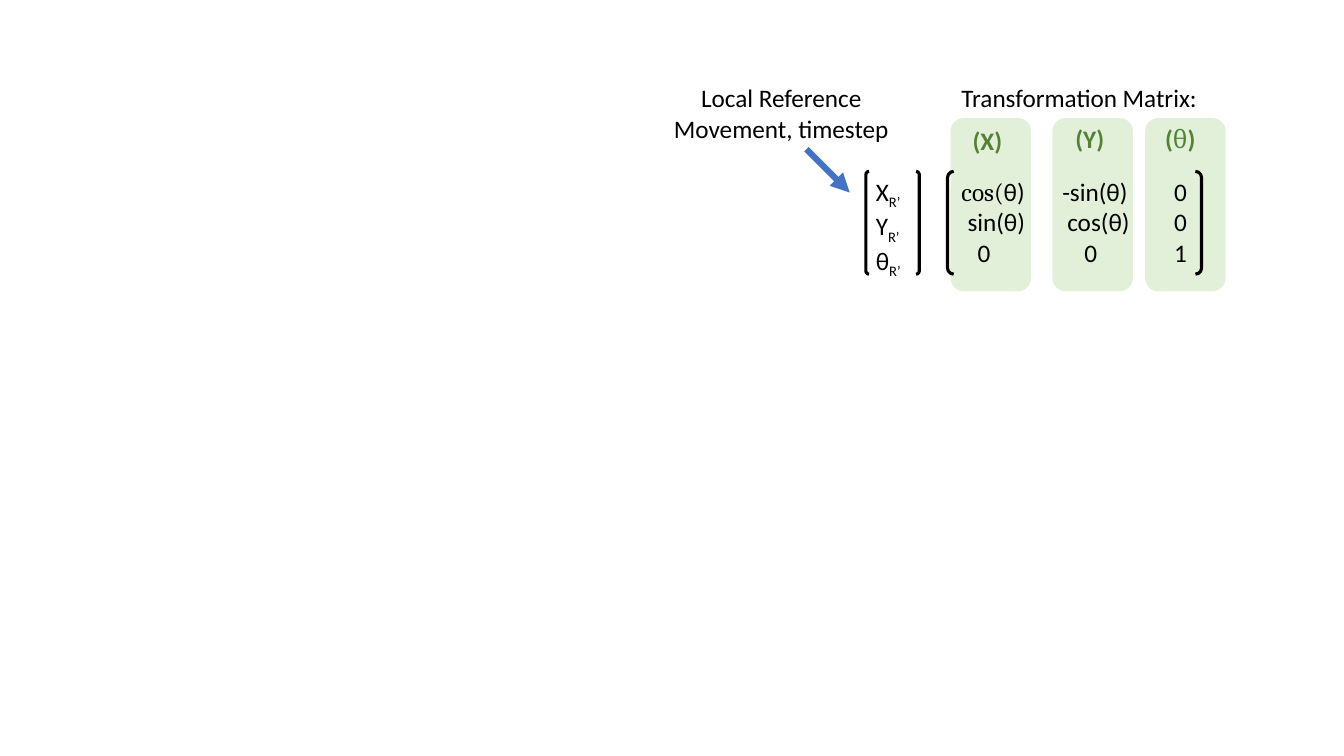
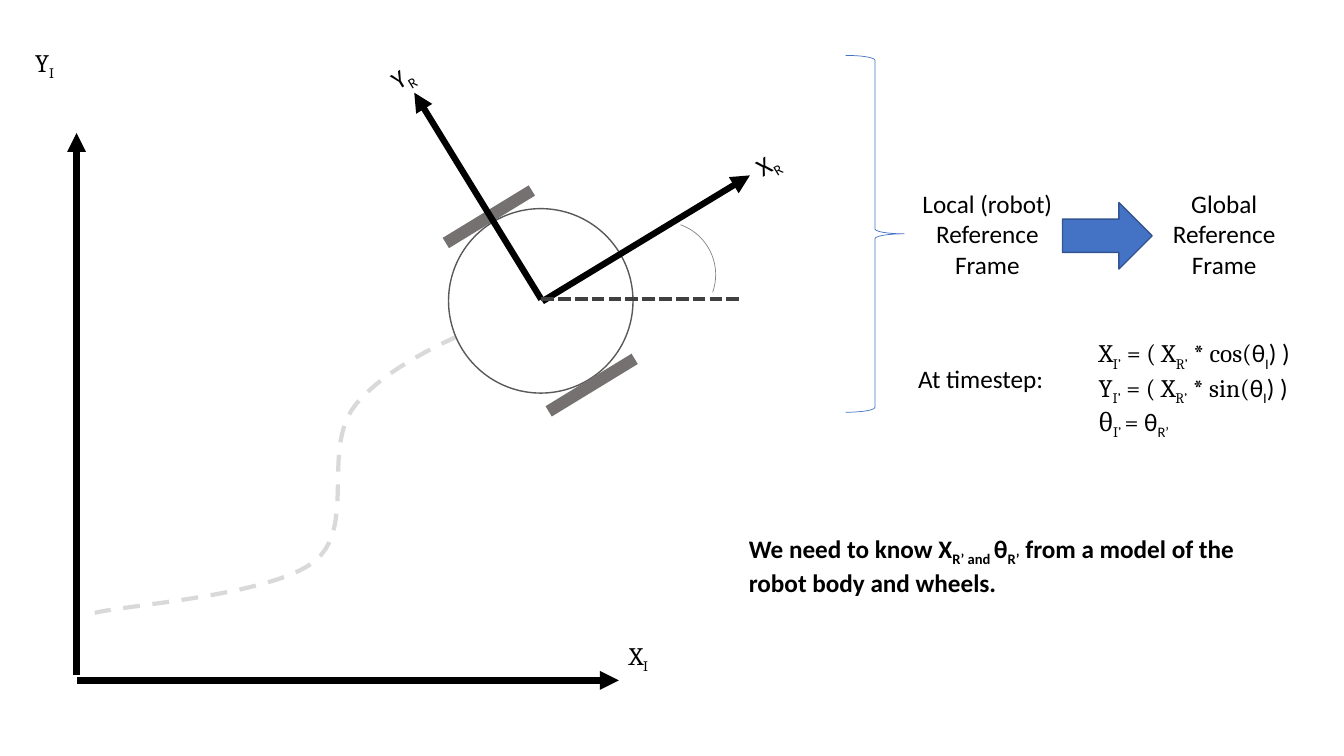
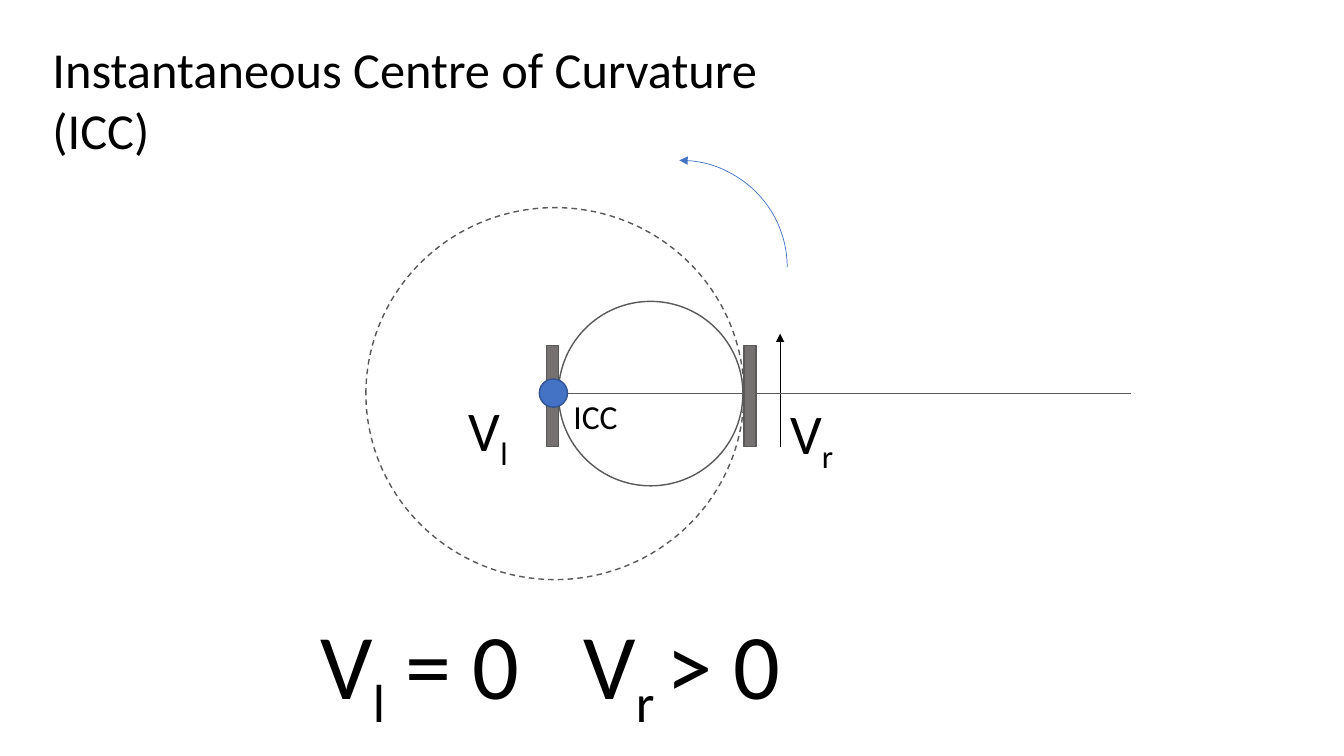
"""Build three slides on robot reference frames and the centre of curvature."""
from dataclasses import dataclass
from typing import NamedTuple, Optional

from pptx import Presentation
from pptx.dml.color import RGBColor
from pptx.enum.dml import MSO_LINE
from pptx.enum.shapes import MSO_CONNECTOR, MSO_SHAPE
from pptx.enum.text import MSO_ANCHOR, MSO_AUTO_SIZE, PP_ALIGN
from pptx.oxml.xmlchemy import OxmlElement
from pptx.util import Inches, Pt

COLUMNS, ROWS = 133.33, 75
CELL = Inches(0.1)
TITLE_ONLY, BLANK = 5, 6

BLACK = RGBColor(0x00, 0x00, 0x00)
WHITE = RGBColor(0xFF, 0xFF, 0xFF)
BLUE = RGBColor(0x44, 0x72, 0xC4)
DARK_BLUE = RGBColor(0x32, 0x54, 0x91)
PALE_GREEN = RGBColor(0xE2, 0xF0, 0xD9)
GREEN = RGBColor(0x54, 0x82, 0x35)
WHEEL_GREY = RGBColor(0x76, 0x71, 0x71)
OUTLINE_GREY = RGBColor(0x59, 0x59, 0x59)
DASH_GREY = RGBColor(0x40, 0x40, 0x40)
ARC_GREY = RGBColor(0x84, 0x84, 0x84)
PATH_GREY = RGBColor(0xD9, 0xD9, 0xD9)

CALIBRI, CAMBRIA = "Calibri", "Cambria"
HEADING = -31.4


class Area(NamedTuple):
    left: float
    top: float
    width: float
    height: float


class Point(NamedTuple):
    column: float
    row: float


class Span(NamedTuple):
    text: str
    font: str = CALIBRI
    lowered: bool = False
    bold: bool = False


@dataclass(frozen=True)
class Stroke:
    color: RGBColor
    width: float
    dash: Optional[MSO_LINE] = None
    head: bool = False
    tail: bool = False


@dataclass(frozen=True)
class Label:
    area: Area
    lines: tuple
    size: float = 18
    color: RGBColor = BLACK
    align: PP_ALIGN = PP_ALIGN.LEFT
    wrap: bool = False
    rotation: float = 0
    tabs: tuple = ()


@dataclass(frozen=True)
class Figure:
    kind: MSO_SHAPE
    area: Area
    fill: Optional[RGBColor] = None
    stroke: Optional[Stroke] = None
    rotation: float = 0
    adjustment: Optional[float] = None


@dataclass(frozen=True)
class MatrixColumn:
    left: float
    label_left: float
    label_top: float
    label: tuple


AXIS = Stroke(BLACK, 4.5, tail=True)
OUTLINE = Stroke(OUTLINE_GREY, 1)
BLUE_OUTLINE = Stroke(DARK_BLUE, 1)
THIN_BLUE = Stroke(BLUE, 0.5)
AXLE = Stroke(OUTLINE_GREY, 0.5)
BRACKET = Stroke(BLACK, 2.25)


def grid(cells: float) -> int:
    """Turn grid cells into slide units."""
    return round(cells * CELL)


def spans(markup: str, font: str = CALIBRI, bold: bool = False) -> tuple:
    """Split markup at bars; every second part is a subscript."""
    return tuple(Span(part, font, index % 2 == 1, bold)
                 for index, part in enumerate(markup.split("|")) if part)


def lines(*markups: str, font: str = CALIBRI, bold: bool = False) -> tuple:
    """Turn each markup into one line of spans."""
    return tuple(spans(markup, font, bold) for markup in markups)


def set_stroke(line, stroke: Stroke) -> None:
    """Format a line and its arrowheads."""
    line.color.rgb = stroke.color
    line.width = Pt(stroke.width)
    if stroke.dash is not None:
        line.dash_style = stroke.dash
    for tag, wanted in (("a:headEnd", stroke.head), ("a:tailEnd", stroke.tail)):
        if wanted:
            end = OxmlElement(tag)
            end.set("type", "triangle")
            line._get_or_add_ln().append(end)


def paint(shape, fill: Optional[RGBColor], stroke: Optional[Stroke]) -> None:
    """Set the fill and outline of a shape without a shadow."""
    shape.shadow.inherit = False
    if fill is None:
        shape.fill.background()
    else:
        shape.fill.solid()
        shape.fill.fore_color.rgb = fill
    if stroke is None:
        shape.line.fill.background()
    else:
        set_stroke(shape.line, stroke)


def draw_figure(page, figure: Figure) -> None:
    """Draw one preset shape."""
    shape = page.shapes.add_shape(figure.kind, *map(grid, figure.area))
    shape.rotation = figure.rotation
    if figure.adjustment is not None:
        shape.adjustments[0] = figure.adjustment
    paint(shape, figure.fill, figure.stroke)


def draw_line(page, start: Point, end: Point, stroke: Stroke) -> None:
    """Draw one straight connector."""
    connector = page.shapes.add_connector(
        MSO_CONNECTOR.STRAIGHT, *map(grid, (*start, *end)))
    set_stroke(connector.line, stroke)
    connector._element.spPr.append(OxmlElement("a:effectLst"))


def set_tabs(para, stops: tuple) -> None:
    """Give a paragraph left tab stops."""
    tab_list = OxmlElement("a:tabLst")
    for stop in stops:
        tab = OxmlElement("a:tab")
        tab.set("pos", str(grid(stop)))
        tab.set("algn", "l")
        tab_list.append(tab)
    para._p.get_or_add_pPr().append(tab_list)


def write(box, label: Label) -> None:
    """Fill a text shape with the lines of a label."""
    frame = box.text_frame
    frame.word_wrap = label.wrap
    frame.auto_size = MSO_AUTO_SIZE.NONE
    frame.vertical_anchor = MSO_ANCHOR.TOP
    for index, line in enumerate(label.lines):
        para = frame.add_paragraph() if index else frame.paragraphs[0]
        para.alignment = label.align
        if label.tabs:
            set_tabs(para, label.tabs[index])
        for span in line:
            run = para.add_run()
            run.text = span.text
            run.font.name = span.font
            run.font.size = Pt(label.size)
            run.font.bold = span.bold
            run.font.color.rgb = label.color
            if span.lowered:
                run._r.get_or_add_rPr().set("baseline", "-25000")


def draw_label(page, label: Label) -> None:
    """Add a text box."""
    box = page.shapes.add_textbox(*map(grid, label.area))
    box.rotation = label.rotation
    write(box, label)


def draw_title(page, label: Label) -> None:
    """Move and format the title placeholder."""
    title = page.shapes.title
    title.left, title.top, title.width, title.height = map(grid, label.area)
    write(title, label)


def draw_curve(page, start: Point, curves: tuple, stroke: Stroke) -> None:
    """Draw an open freeform through cubic curves."""
    steps = 20
    points = []
    origin = start
    for first, second, end in curves:
        for step in range(1, steps + 1):
            share = step / steps
            rest = 1 - share
            points.append(tuple(
                grid(rest ** 3 * a + 3 * rest ** 2 * share * b
                     + 3 * rest * share ** 2 * c + share ** 3 * d)
                for a, b, c, d in zip(origin, first, second, end)))
        origin = end
    builder = page.shapes.build_freeform(*map(grid, start))
    builder.add_line_segments(points, close=False)
    paint(builder.convert_to_shape(), None, stroke)


def build_matrix(page) -> None:
    """Show the transformation matrix and the local movement vector."""
    matrix_columns = (
        MatrixColumn(94.3, 95.5, 11.9, spans("(X)", bold=True)),
        MatrixColumn(104.4, 105.7, 11.7, spans("(Y)", bold=True)),
        MatrixColumn(113.6, 114.6, 11.7,
                     (Span("(", bold=True), Span("θ", CAMBRIA), Span(")", bold=True))),
    )
    for column in matrix_columns:
        draw_figure(page, Figure(MSO_SHAPE.ROUNDED_RECTANGLE,
                                 Area(column.left, 11.7, 8, 17.2), PALE_GREEN))
        draw_label(page, Label(Area(column.label_left, column.label_top, 6.5, 4),
                               (column.label,), color=GREEN, wrap=True))
    matrix = (spans("cos(", CAMBRIA) + spans("θ)\t-sin(θ)\t0"),
              *lines("\tsin(θ)\tcos(θ)\t0", "\t0\t0\t1"))
    vector = lines("X|R’", "Y|R’", "θ|R’")
    labels = (
        Label(Area(94.4, 17, 36.7, 13.1), matrix, wrap=True,
              tabs=((10, 21.1), (0.6, 10.5, 21.1), (1.6, 12.2, 21.1))),
        Label(Area(94.4, 7.7, 25.6, 4), lines("Transformation Matrix:")),
        Label(Area(85.9, 17, 5.3, 10.1), vector, wrap=True),
        Label(Area(65.4, 7.7, 24.2, 7.1),
              lines("Local Reference", "Movement, timestep"), align=PP_ALIGN.CENTER),
    )
    for label in labels:
        draw_label(page, label)
    for left, width in ((94, 25.2), (85.9, 5.3)):
        draw_figure(page, Figure(MSO_SHAPE.DOUBLE_BRACKET, Area(left, 17, width, 10.2),
                                 stroke=BRACKET, adjustment=0.06))
    draw_line(page, Point(80, 14.8), Point(84.3, 19.1), Stroke(BLUE, 4.5, tail=True))


def build_frames(page) -> None:
    """Show the robot frame inside the global frame."""
    draw_curve(page, Point(53.4, 30), (
        (Point(46.2, 32.9), Point(39.1, 35.7), Point(35.4, 40)),
        (Point(31.7, 44.3), Point(35.5, 52.2), Point(31.2, 55.7)),
        (Point(26.9, 59.1), Point(12.6, 60), Point(9.4, 60.8)),
    ), Stroke(PATH_GREY, 3, MSO_LINE.DASH))
    draw_figure(page, Figure(MSO_SHAPE.OVAL, Area(44.5, 20.7, 18.3, 18.3), WHITE, OUTLINE))
    for left, top in ((47.9, 16.5), (58.1, 33.2)):
        draw_figure(page, Figure(MSO_SHAPE.RECTANGLE, Area(left, top, 1.2, 10),
                                 WHEEL_GREY, rotation=HEADING - 90))
    for start, end in (
        (Point(53.8, 29.9), Point(74.4, 17.4)),
        (Point(53.7, 29.7), Point(41.1, 9.2)),
        (Point(7.6, 67.5), Point(61.4, 67.5)),
        (Point(7.6, 67), Point(7.6, 13.2)),
    ):
        draw_line(page, start, end, AXIS)
    draw_line(page, Point(53.7, 29.7), Point(73.3, 29.7),
              Stroke(DASH_GREY, 3, MSO_LINE.SQUARE_DOT))
    for figure in (
        Figure(MSO_SHAPE.RIGHT_BRACE, Area(83.9, 5.5, 5.8, 35.4), stroke=THIN_BLUE),
        Figure(MSO_SHAPE.ARC, Area(60.5, 22, 10.5, 10.5),
               stroke=Stroke(ARC_GREY, 0.5), rotation=19.5),
        Figure(MSO_SHAPE.RIGHT_ARROW, Area(105.4, 20.1, 8.9, 6.6), BLUE, BLUE_OUTLINE),
    ):
        draw_figure(page, figure)
    equations = (
        *(spans(f"{axis}|I’| = ( X|R’| * {function}(" if axis == "X"
                else f"{axis}|I’| = ( X|R’| * {function}(", CAMBRIA) + spans("θ|I|) )")
          for axis, function in (("X", "cos"), ("Y", "sin"))),
        spans("θ|I’ |= ", CAMBRIA) + spans("θ|R’"),
    )
    need = lines("We need to know X|R’ and |θ|R’| from a model of the robot body and wheels.",
                 bold=True)
    labels = (
        Label(Area(74, 14.1, 4.6, 4), lines("X|R"), wrap=True, rotation=HEADING),
        Label(Area(37.8, 5.4, 4.6, 4), lines("Y|R"), wrap=True, rotation=HEADING),
        Label(Area(61.4, 63, 10.4, 9), lines("X|I", font=CAMBRIA), wrap=True),
        Label(Area(2.5, 4.2, 10.4, 9), lines("Y|I", font=CAMBRIA), wrap=True),
        Label(Area(90.4, 18.2, 15.1, 10.1),
              lines("Local (robot)", "Reference", "Frame"), align=PP_ALIGN.CENTER),
        Label(Area(115.3, 18.2, 12.3, 10.1),
              lines("Global", "Reference", "Frame"), align=PP_ALIGN.CENTER),
        Label(Area(73.3, 52.4, 51.2, 7.1), need, wrap=True),
        Label(Area(108, 33, 23.5, 13.1), equations, wrap=True),
        Label(Area(90.1, 35.6, 14.6, 4), lines("At timestep:")),
    )
    for label in labels:
        draw_label(page, label)


def build_curvature(page) -> None:
    """Show the robot turning about its left wheel."""
    draw_title(page, Label(Area(4.2, 3.3, 82.6, 13.2),
                           lines("Instantaneous Centre of Curvature (ICC)"),
                           size=36, wrap=True))
    draw_line(page, Point(77.4, 44.3), Point(77.4, 33.1), Stroke(BLACK, 0.5, tail=True))
    draw_line(page, Point(112.2, 39), Point(53.5, 39), AXLE)
    draw_figure(page, Figure(MSO_SHAPE.OVAL, Area(55.4, 29.9, 18.3, 18.3), WHITE, OUTLINE))
    for left in (54.2, 73.8):
        draw_figure(page, Figure(MSO_SHAPE.RECTANGLE, Area(left, 34.3, 1.2, 10),
                                 WHEEL_GREY, OUTLINE))
    draw_line(page, Point(73.8, 39), Point(55.4, 39), AXLE)
    for figure in (
        Figure(MSO_SHAPE.OVAL, Area(36.3, 20.6, 37.5, 36.9),
               stroke=Stroke(OUTLINE_GREY, 1, MSO_LINE.DASH)),
        Figure(MSO_SHAPE.OVAL, Area(53.5, 37.6, 2.8, 2.8), BLUE, BLUE_OUTLINE),
        Figure(MSO_SHAPE.ARC, Area(56.7, 15.9, 21.4, 21.2),
               stroke=Stroke(BLUE, 0.5, head=True)),
    ):
        draw_figure(page, figure)
    for label in (
        Label(Area(30.8, 59.7, 50, 12.1), lines("V|l| = 0\tV|r |> 0"),
              size=66, wrap=True, tabs=((26.1,),)),
        Label(Area(77.4, 39, 6.4, 7.7), lines("V|r"), size=40),
        Label(Area(45.5, 38.7, 6.1, 7.7), lines("V|l"), size=40),
        Label(Area(55.9, 38.8, 6.4, 5), lines("ICC"), size=24),
    ):
        draw_label(page, label)


def main() -> None:
    """Build and save the deck."""
    deck = Presentation()
    deck.slide_width, deck.slide_height = grid(COLUMNS), grid(ROWS)
    for layout, build in ((BLANK, build_matrix), (BLANK, build_frames),
                          (TITLE_ONLY, build_curvature)):
        build(deck.slides.add_slide(deck.slide_layouts[layout]))
    deck.save("out.pptx")


if __name__ == "__main__":
    main()
